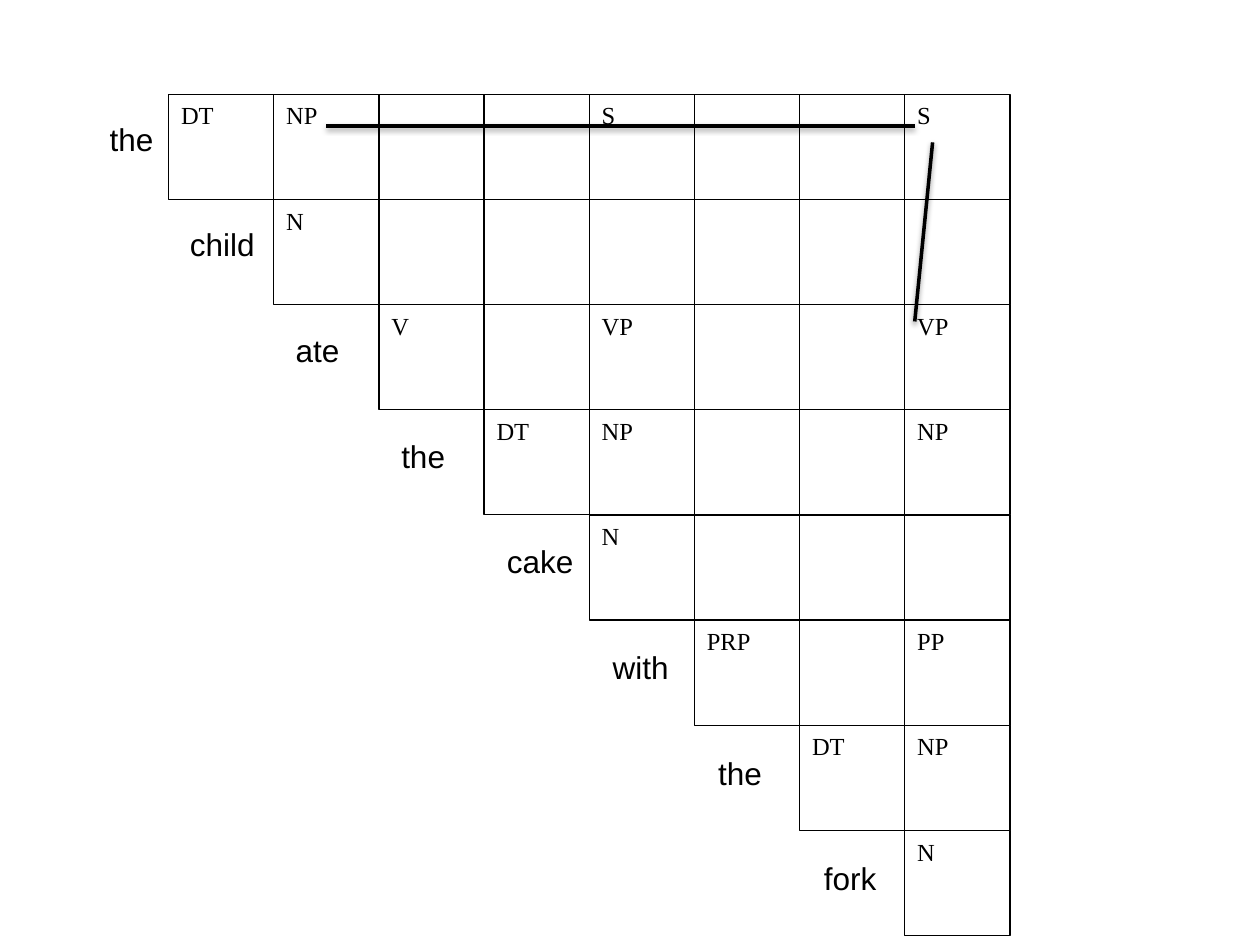
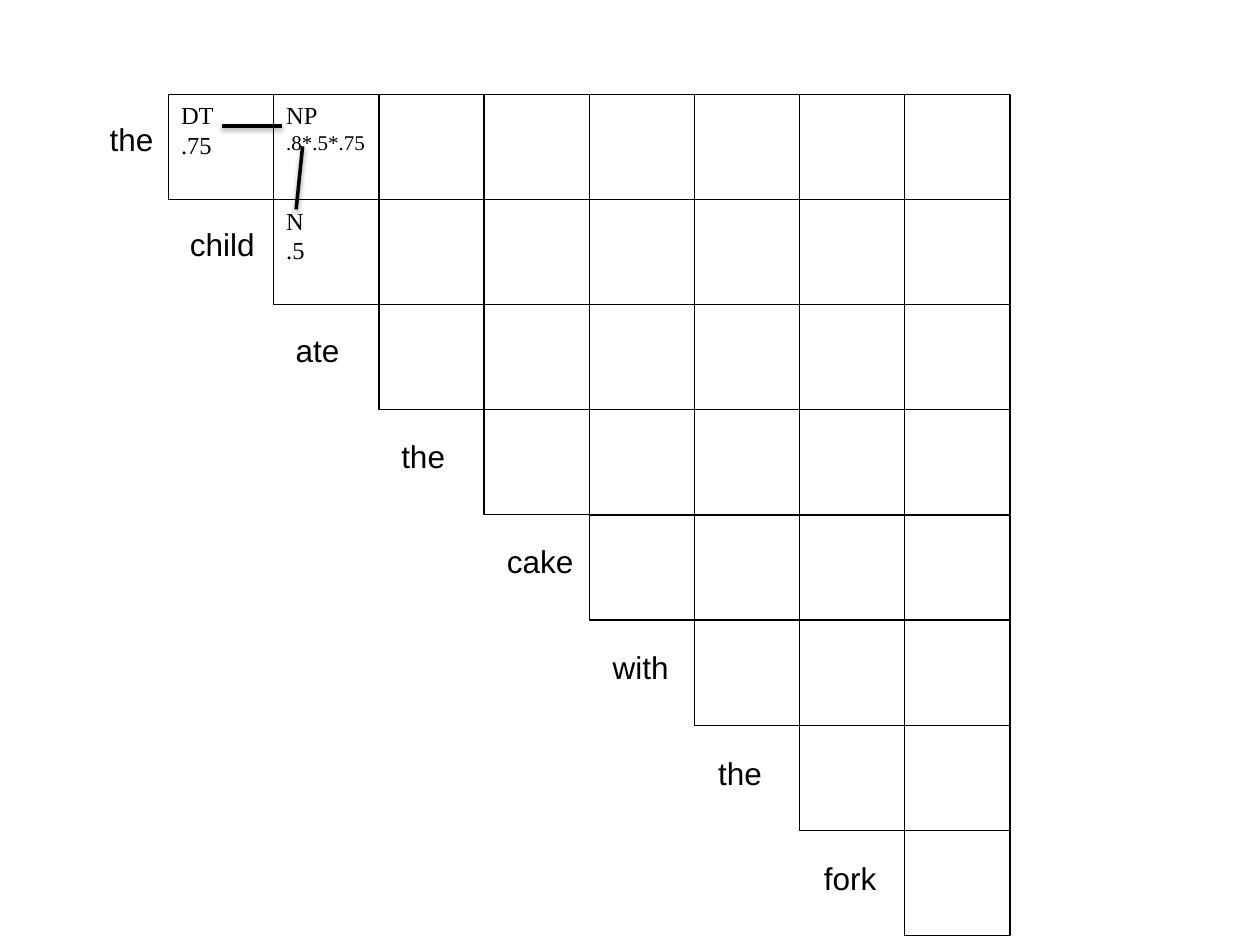
import dataclasses
import typing

import lxml.etree
import pptx
import pptx.dml.color
import pptx.enum.shapes
import pptx.enum.text
import pptx.oxml.ns
import pptx.util
from pptx.util import Cm

# Shared look and chart geometry, in centimetres
BLACK = "000000"
CELL_FONT = "Times New Roman"
WORD_FONT = "Arial"
CELL_SIZE = 2.12
GRID_LEFT, GRID_TOP = 3.4, 1.9
WORD_STEP = 2.13
WORD_TOP, WORD_HEIGHT = 2.29, 1.02


@dataclasses.dataclass(frozen=True)
class Word:
    text: str
    left: float
    width: float


@dataclasses.dataclass(frozen=True)
class Entry:
    row: int
    column: int
    category: str
    probability: str = ""
    probability_size: int = 14


@dataclasses.dataclass(frozen=True)
class Link:
    start: tuple[float, float]
    end: tuple[float, float]


@dataclasses.dataclass(frozen=True)
class ParseChart:
    entries: list[Entry]
    links: list[Link]


# The first word stands apart; the others step along the diagonal
SENTENCE = [Word("the", 1.96, 1.4)] + [
    Word(text, 3.58 + WORD_STEP * index, width)
    for index, (text, width) in enumerate([
        ("child", 1.83), ("ate", 1.4), ("the", 1.4), ("cake", 1.85),
        ("with", 1.65), ("the", 1.4), ("fork", 1.57),
    ])
]

CHARTS = [
    ParseChart(
        entries=[
            Entry(0, 0, "DT"), Entry(0, 1, "NP"), Entry(0, 4, "S"), Entry(0, 7, "S"),
            Entry(1, 1, "N"),
            Entry(2, 2, "V"), Entry(2, 4, "VP"), Entry(2, 7, "VP"),
            Entry(3, 3, "DT"), Entry(3, 4, "NP"), Entry(3, 7, "NP"),
            Entry(4, 4, "N"),
            Entry(5, 5, "PRP"), Entry(5, 7, "PP"),
            Entry(6, 6, "DT"), Entry(6, 7, "NP"),
            Entry(7, 7, "N"),
        ],
        links=[Link((18.44, 2.54), (6.58, 2.54)), Link((18.8, 2.87), (18.44, 6.48))],
    ),
    ParseChart(
        entries=[
            Entry(0, 0, "DT", ".75"),
            Entry(0, 1, "NP", ".8*.5*.75", 12),
            Entry(1, 1, "N", ".5"),
        ],
        links=[Link((5.69, 2.54), (4.47, 2.54)), Link((6.1, 2.95), (5.97, 4.22))],
    ),
]


def color(value: str) -> pptx.dml.color.RGBColor:
    return pptx.dml.color.RGBColor.from_string(value)


def format_paragraph(para: typing.Any, font: str, size: int) -> None:
    para.alignment = pptx.enum.text.PP_ALIGN.LEFT
    for span in para.runs:
        span.font.name = font
        span.font.size = pptx.util.Pt(size)
        span.font.color.rgb = color(BLACK)


def draw_cell(page: typing.Any, row: int, column: int, entry: Entry | None) -> None:
    box = page.shapes.add_shape(
        pptx.enum.shapes.MSO_SHAPE.RECTANGLE,
        Cm(GRID_LEFT + column * CELL_SIZE), Cm(GRID_TOP + row * CELL_SIZE),
        Cm(CELL_SIZE), Cm(CELL_SIZE),
    )
    box.shadow.inherit = False
    box.fill.background()
    box.line.color.rgb = color(BLACK)
    box.line.width = pptx.util.Pt(0.75)
    if entry is None:
        return
    frame = box.text_frame
    frame.word_wrap = True
    frame.vertical_anchor = pptx.enum.text.MSO_ANCHOR.TOP
    frame.text = entry.category
    format_paragraph(frame.paragraphs[0], CELL_FONT, 14)
    if entry.probability:
        para = frame.add_paragraph()
        para.text = entry.probability
        format_paragraph(para, CELL_FONT, entry.probability_size)


def draw_word(page: typing.Any, row: int, word: Word) -> None:
    box = page.shapes.add_textbox(
        Cm(word.left), Cm(WORD_TOP + row * WORD_STEP), Cm(word.width), Cm(WORD_HEIGHT)
    )
    frame = box.text_frame
    frame.word_wrap = False
    frame.auto_size = pptx.enum.text.MSO_AUTO_SIZE.SHAPE_TO_FIT_TEXT
    frame.text = word.text
    format_paragraph(frame.paragraphs[0], WORD_FONT, 18)


def add_shadow(connector: typing.Any) -> None:
    def child(parent: typing.Any, tag: str, **attributes: str) -> typing.Any:
        return lxml.etree.SubElement(parent, pptx.oxml.ns.qn(tag), attributes)

    effects = child(connector.element.spPr, "a:effectLst")
    shadow = child(
        effects, "a:outerShdw",
        blurRad=str(pptx.util.Pt(3.1)), dist=str(pptx.util.Pt(1.6)),
        dir="5400000", rotWithShape="0",
    )
    child(child(shadow, "a:srgbClr", val=BLACK), "a:alpha", val="38000")


def draw_link(page: typing.Any, link: Link) -> None:
    connector = page.shapes.add_connector(
        pptx.enum.shapes.MSO_CONNECTOR.STRAIGHT,
        *(Cm(value) for value in link.start + link.end),
    )
    connector.line.color.rgb = color(BLACK)
    connector.line.width = pptx.util.Pt(2)
    add_shadow(connector)


def draw_chart(page: typing.Any, chart: ParseChart) -> None:
    entries = {(entry.row, entry.column): entry for entry in chart.entries}
    # Upper triangle of cells, one row per word
    for row in range(len(SENTENCE)):
        for column in range(row, len(SENTENCE)):
            draw_cell(page, row, column, entries.get((row, column)))
    # Words along the diagonal
    for row, word in enumerate(SENTENCE):
        draw_word(page, row, word)
    # Links between combined constituents
    for link in chart.links:
        draw_link(page, link)


def main() -> None:
    deck = pptx.Presentation()
    deck.slide_width, deck.slide_height = Cm(25.4), Cm(19.05)
    for chart in CHARTS:
        draw_chart(deck.slides.add_slide(deck.slide_layouts[6]), chart)
    deck.save("out.pptx")


if __name__ == "__main__":
    main()
